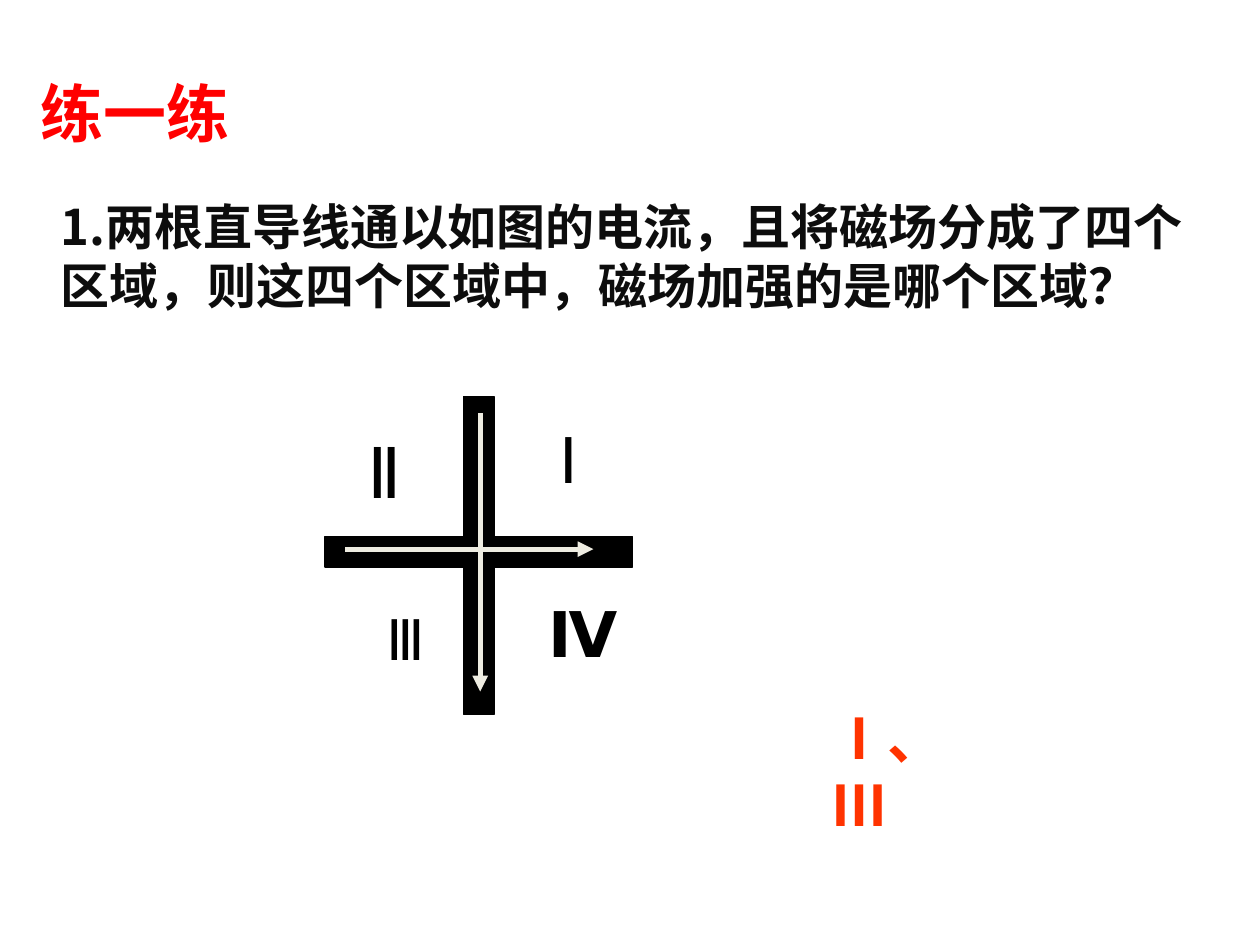
"""Build a practice slide on the magnetic field of two crossed wires."""
import pptx
import pptx.dml.color
import pptx.enum.shapes
import pptx.enum.text
import pptx.oxml.ns
import pptx.util
from lxml import etree

Cm = pptx.util.Cm
Pt = pptx.util.Pt
qn = pptx.oxml.ns.qn


def tint(code):
    """Turn a hex string into a colour."""
    return pptx.dml.color.RGBColor.from_string(code)


def write(box, text, size, face="DejaVu Sans", east=None, color="000000",
          bold=False, wrap=True, align="LEFT"):
    """Put one formatted paragraph into a box."""
    frame = box.text_frame
    frame.word_wrap = wrap
    frame.auto_size = pptx.enum.text.MSO_AUTO_SIZE.NONE
    frame.vertical_anchor = pptx.enum.text.MSO_ANCHOR.TOP
    para = frame.paragraphs[0]
    props = para._p.get_or_add_pPr()
    props.set("marL", "0")
    props.set("indent", "0")
    etree.SubElement(props, qn("a:buNone"))
    para.alignment = getattr(pptx.enum.text.PP_ALIGN, align)
    para.space_before = Pt(0)
    para.line_spacing = Pt(round(size * 1.2, 1))
    run = para.add_run()
    run.text = text
    font = run.font
    font.name, font.size, font.bold = face, Pt(size), bold
    font.color.rgb = tint(color)
    etree.SubElement(run._r.get_or_add_rPr(), qn("a:ea"), typeface=east or face)


deck = pptx.Presentation()
deck.slide_width, deck.slide_height = Cm(25.4), Cm(19.05)
slide = deck.slides.add_slide(deck.slide_layouts[1])
shapes = slide.shapes
han = "Noto Sans CJK SC"

title = shapes.title
title.left, title.top, title.width, title.height = map(Cm, (0.51, 1.38, 4.42, 1.78))
write(title, "练一练", 36, face="Arial", east=han, color="FF0000", bold=True, align="CENTER")

body = slide.placeholders[1]
body.left, body.top, body.width, body.height = map(Cm, (0.97, 3.84, 23.83, 3.3))
write(body, "1.两根直导线通以如图的电流，且将磁场分成了四个区域，则这四个区域中，磁场加强的是哪个区域？",
      28, face=han, color="0D0D0D", bold=True)

for place in ((9.35, 8, 0.61, 6.4), (6.55, 10.82, 6.2, 0.61)):
    wire = shapes.add_shape(pptx.enum.shapes.MSO_SHAPE.RECTANGLE, *map(Cm, place))
    wire.shadow.inherit = False
    wire.fill.solid()
    wire.fill.fore_color.rgb = tint("000000")
    wire.line.color.rgb = tint("000000")
    wire.line.width = Pt(0.75)

for ends in ((9.68, 8.33, 9.68, 13.94), (6.96, 11.07, 11.96, 11.07)):
    arrow = shapes.add_connector(pptx.enum.shapes.MSO_CONNECTOR.STRAIGHT, *map(Cm, ends))
    arrow.line.color.rgb = tint("EEECE1")
    arrow.line.width = Pt(3)
    etree.SubElement(arrow.line._get_or_add_ln(), qn("a:tailEnd"), type="triangle")
    etree.SubElement(arrow._element.spPr, qn("a:effectLst"))

zones = (
    ("Ⅱ", 40, False, (7.16, 8.51, 2.01, 1.96)),
    ("Ⅰ", 36, False, (11.02, 8.36, 0.86, 1.78)),
    ("Ⅳ", 36, True, (10.8, 11.86, 1.9, 1.78)),
    ("Ⅲ", 32, False, (7.54, 12.07, 1.27, 1.63)),
)
for text, size, bold, place in zones:
    write(shapes.add_textbox(*map(Cm, place)), text, size, bold=bold, wrap=False)

reply = shapes.add_textbox(*map(Cm, (16.51, 14.05, 3.25, 1.63)))
write(reply, "Ⅰ、 Ⅲ", 32, face="Arial", east=han, color="FF3300", bold=True)

deck.save("out.pptx")
